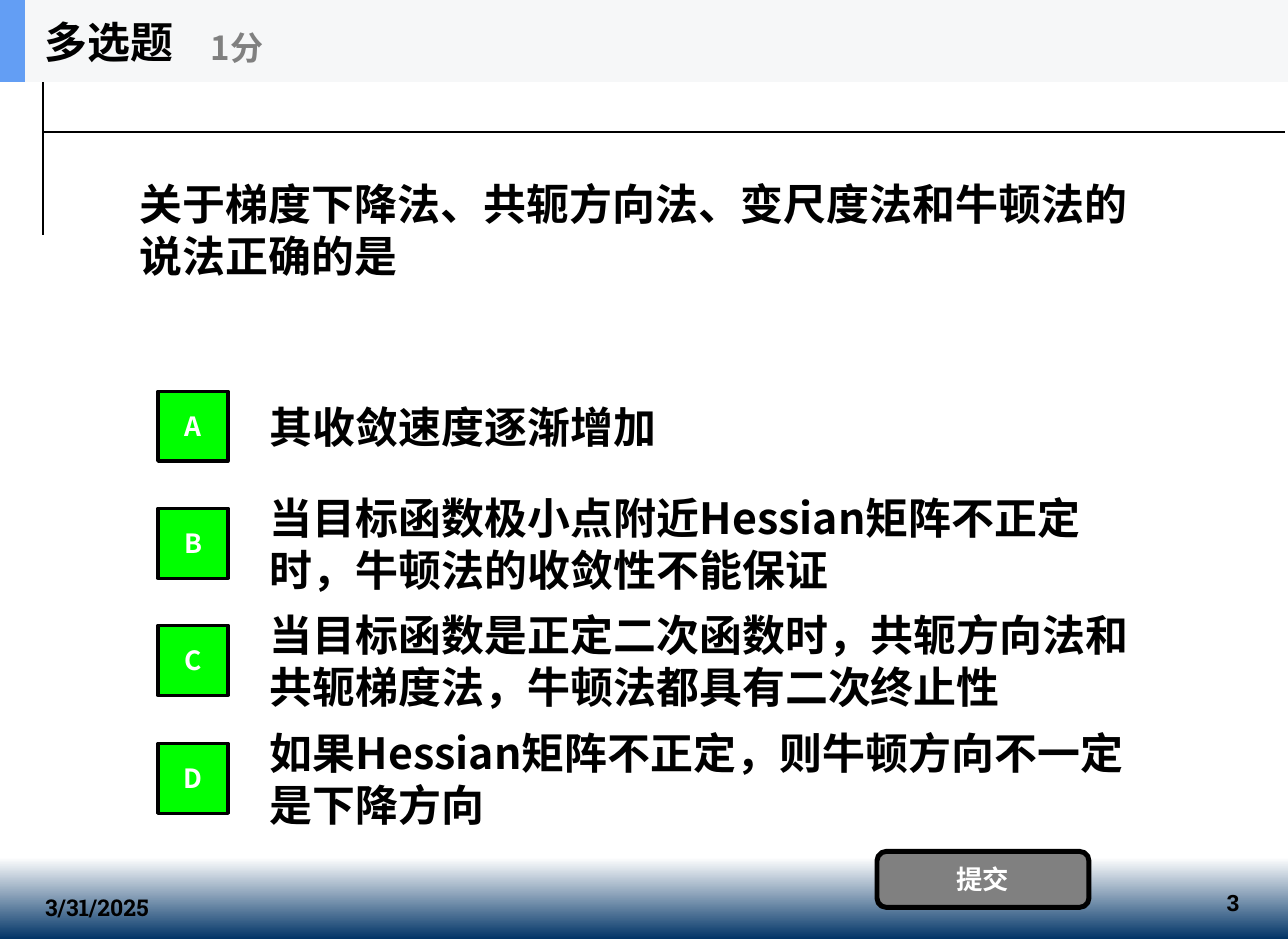
from lxml.etree import SubElement
from pptx import Presentation
from pptx.dml.color import RGBColor
from pptx.enum.shapes import MSO_CONNECTOR, MSO_SHAPE
from pptx.enum.text import MSO_ANCHOR as ANCHOR, PP_ALIGN as ALIGN
from pptx.oxml.ns import qn
from pptx.util import Emu, Pt

QUESTION = "关于梯度下降法、共轭方向法、变尺度法和牛顿法的说法正确的是"
OPTIONS = [
    ("A", "其收敛速度逐渐增加"),
    ("B", "当目标函数极小点附近Hessian矩阵不正定时，牛顿法的收敛性不能保证"),
    ("C", "当目标函数是正定二次函数时，共轭方向法和共轭梯度法，牛顿法都具有二次终止性"),
    ("D", "如果Hessian矩阵不正定，则牛顿方向不一定是下降方向"),
]
QUESTION_TYPE, SCORE, SUBMIT = "多选题", "1分", "提交"
DATE, PAGE = "3/31/2025", "3"

COLORS = {
    "black": "000000", "white": "FFFFFF", "navy": "003366", "green": "00FF00",
    "gray": "808080", "header": "F6F7F8", "accent": "639EF4",
}
SANS = "Noto Sans CJK SC"
SLIDE_SIZE = Emu(9906000), Emu(7218363)
SCALE = 7691
SLIDE_W, SLIDE_H = 1288, 939
HEADER_H = 82
FOOTER_TOP = 857
OPTIONS_TOP, OPTIONS_SPAN, OPTION_H = 382, 352, 88
BADGE = 70


def px(*lengths):
    return [Emu(length * SCALE) for length in lengths]


def color(name):
    return RGBColor.from_string(COLORS[name])


def write(shape, text, size, ink="black", font=SANS, align=ALIGN.LEFT,
          anchor=ANCHOR.MIDDLE, wrap=True):
    frame = shape.text_frame
    frame.word_wrap = wrap
    frame.vertical_anchor = anchor
    paragraph = frame.paragraphs[0]
    paragraph.text = text
    paragraph.alignment = align
    style = paragraph.font
    style.size, style.bold, style.name = Pt(size), True, font
    style.color.rgb = color(ink)
    properties = paragraph._p.pPr
    properties.set("hangingPunct", "0")
    defaults = properties.find(qn("a:defRPr"))
    SubElement(defaults, qn("a:ea")).set("typeface", font)
    return paragraph


def add_text(slide, box, text, size, **style):
    return write(slide.shapes.add_textbox(*px(*box)), text, size, **style)


def add_block(slide, box, fill=None, line=0, kind=MSO_SHAPE.RECTANGLE):
    block = slide.shapes.add_shape(kind, *px(*box))
    block.shadow.inherit = False
    if fill:
        block.fill.solid()
        block.fill.fore_color.rgb = color(fill)
    if line:
        block.line.width = Pt(line)
        block.line.color.rgb = color("black")
    else:
        block.line.fill.background()
    return block


def add_rule(slide, ends, width):
    rule = slide.shapes.add_connector(MSO_CONNECTOR.STRAIGHT, *px(*ends))
    rule.line.width = Pt(width)
    rule.line.color.rgb = color("black")
    SubElement(rule._element.spPr, qn("a:effectLst"))


def add_background(slide):
    footer = add_block(slide, (0, FOOTER_TOP, SLIDE_W, SLIDE_H - FOOTER_TOP))
    footer.fill.gradient()
    footer.fill.gradient_angle = 270
    for stop, name, position in zip(footer.fill.gradient_stops, ("white", "navy"), (0, 1)):
        stop.color.rgb = color(name)
        stop.position = position
    add_rule(slide, (43, 24, 43, 235), 1)
    add_rule(slide, (43, 132, 1285, 132), 0.75)
    add_text(slide, (1215, 882, 36, 39), PAGE, 14, font="Arial",
             anchor=ANCHOR.TOP, wrap=False)
    date = add_text(slide, (0, 865, 194, 62), DATE, 14, font="Roboto Slab",
                    align=ALIGN.CENTER, anchor=ANCHOR.TOP)
    date.line_spacing = 1.8


def add_question(slide):
    add_text(slide, (128, 82, 1031, 294), QUESTION, 26)
    for index, (letter, answer) in enumerate(OPTIONS):
        top = OPTIONS_TOP + index * OPTIONS_SPAN // (len(OPTIONS) - 1)
        add_text(slide, (258, top, 901, OPTION_H), answer, 26)
        badge = add_block(slide, (158, top + (OPTION_H - BADGE) // 2, BADGE, BADGE), "green", 2)
        write(badge, letter, 16, "white", align=ALIGN.CENTER)
    submit = add_block(slide, (877, 851, 212, 56), "gray", 3, MSO_SHAPE.ROUNDED_RECTANGLE)
    write(submit, SUBMIT, 16, "white", align=ALIGN.CENTER)


def add_header(slide):
    add_block(slide, (0, 0, SLIDE_W, HEADER_H), "header")
    add_block(slide, (0, 0, 25, HEADER_H), "accent")
    add_text(slide, (33, 0, 247, HEADER_H), QUESTION_TYPE, 26, wrap=False)
    add_text(slide, (199, 14, 297, 67), SCORE, 20, ink="gray", wrap=False)


def main():
    deck = Presentation()
    deck.slide_width, deck.slide_height = SLIDE_SIZE
    slide = deck.slides.add_slide(deck.slide_layouts[6])
    add_background(slide)
    add_question(slide)
    add_header(slide)
    deck.save("out.pptx")


if __name__ == "__main__":
    main()
